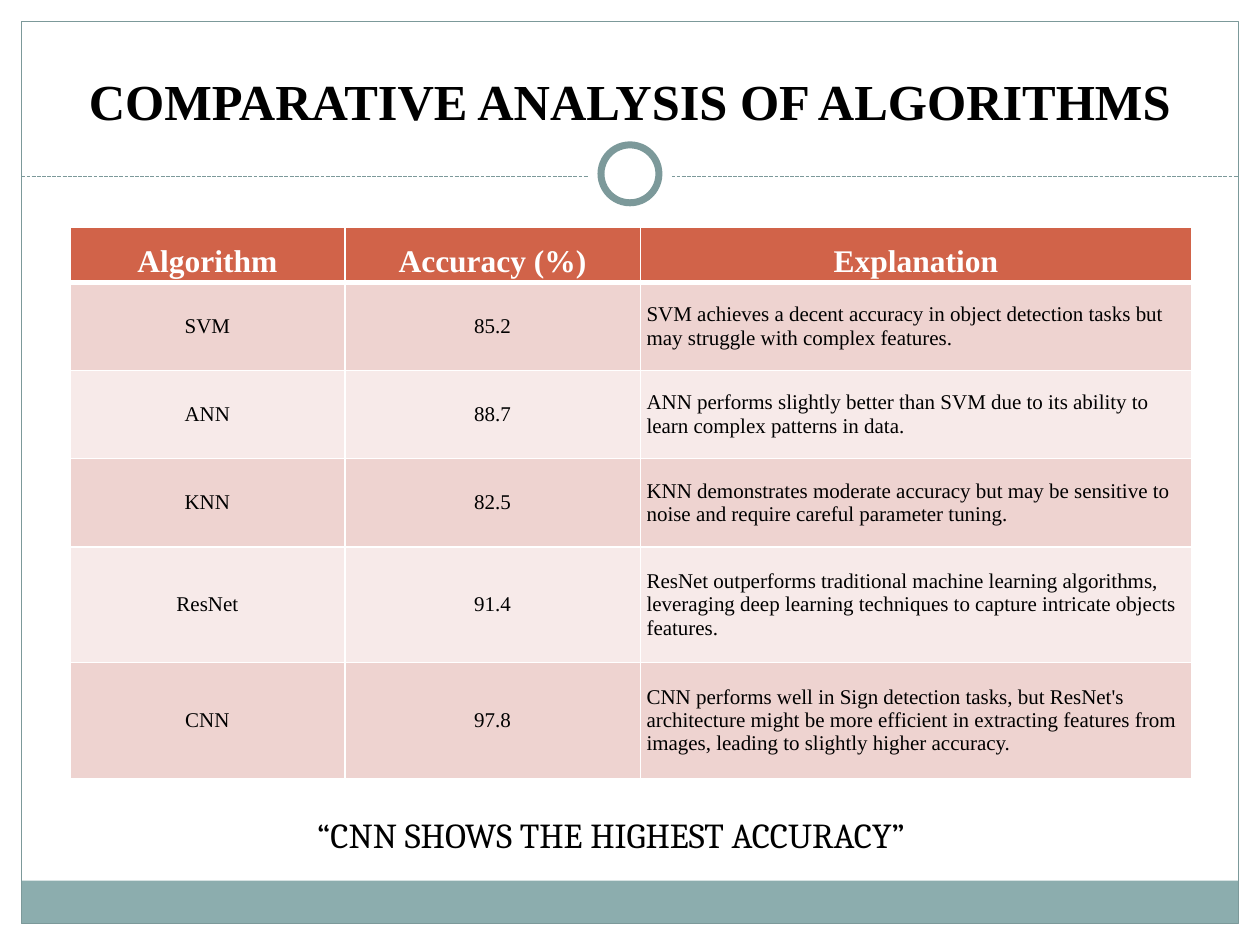
"""Build a slide that compares the accuracy of five algorithms in a table."""
from lxml.etree import SubElement
from pptx import Presentation
from pptx.dml.color import RGBColor
from pptx.enum.dml import MSO_LINE
from pptx.enum.shapes import MSO_CONNECTOR, MSO_SHAPE
from pptx.enum.text import MSO_ANCHOR, MSO_AUTO_SIZE, PP_ALIGN
from pptx.oxml.ns import qn
from pptx.util import Pt

WIDTH, HEIGHT = 720, 540
MARGIN = 12.24
RULE_Y = 100.8
CIRCLE_Y = 99.36
TEAL, BAND, WHITE, BLACK = "7C999A", "8CADAE", "FFFFFF", "000000"
HEADER_FILL, ROW_FILLS = "D16349", ("EED3D0", "F7EAE9")
SERIF = "Times New Roman"

TITLE = "COMPARATIVE ANALYSIS OF ALGORITHMS"
CAPTION = "“CNN SHOWS THE HIGHEST ACCURACY”"
ROWS = [
    ("Algorithm", "Accuracy (%)", "Explanation"),
    ("SVM", "85.2", "SVM achieves a decent accuracy in object detection tasks but "
     "may struggle with complex features."),
    ("ANN", "88.7", "ANN performs slightly better than SVM due to its ability to "
     "learn complex patterns in data."),
    ("KNN", "82.5", "KNN demonstrates moderate accuracy but may be sensitive to "
     "noise and require careful parameter tuning."),
    ("ResNet", "91.4", "ResNet outperforms traditional machine learning algorithms, "
     "leveraging deep learning techniques to capture intricate objects features."),
    ("CNN", "97.8", "CNN performs well in Sign detection tasks, but ResNet's "
     "architecture might be more efficient in extracting features from images, "
     "leading to slightly higher accuracy."),
]
TABLE_LEFT, TABLE_TOP = 39.9, 129.6
COLUMN_WIDTHS = (157.2, 168.8, 315)
ROW_HEIGHTS = (31.7, 50.4, 50.4, 50.4, 66.2, 66.2)
CELL_FORMAT = {"margin_left": Pt(3.6), "margin_right": Pt(3.6),
               "margin_top": Pt(1.8), "margin_bottom": Pt(1.8)}
HEADER_FONT = {"name": SERIF, "size": Pt(18), "bold": True}
BODY_FONT = {"name": SERIF, "size": Pt(12), "bold": False}


def color(value):
    return RGBColor.from_string(value)


def apply(target, values):
    for name, value in values.items():
        setattr(target, name, value)


def write(frame, text, font, font_color, align):
    frame.text = text
    paragraph = frame.paragraphs[0]
    paragraph.alignment = align
    apply(paragraph.runs[0].font, font)
    paragraph.runs[0].font.color.rgb = color(font_color)


def add_shape(slide, kind, box, fill=None, line=None, line_width=0.75):
    shape = slide.shapes.add_shape(kind, *map(Pt, box))
    shape.shadow.inherit = False
    if fill:
        shape.fill.solid()
        shape.fill.fore_color.rgb = color(fill)
    else:
        shape.fill.background()
    if line:
        shape.line.color.rgb = color(line)
        shape.line.width = Pt(line_width)
    else:
        shape.line.fill.background()


def add_circle(slide, diameter, **style):
    box = (WIDTH / 2 - diameter / 2, CIRCLE_Y - diameter / 2, diameter, diameter)
    add_shape(slide, MSO_SHAPE.OVAL, box, WHITE, **style)


def add_rule(slide):
    rule = slide.shapes.add_connector(MSO_CONNECTOR.STRAIGHT, Pt(MARGIN), Pt(RULE_Y),
                                      Pt(WIDTH - MARGIN), Pt(RULE_Y))
    apply(rule.line, {"width": Pt(0.75), "dash_style": MSO_LINE.SQUARE_DOT})
    rule.line.color.rgb = color(TEAL)
    SubElement(rule._element.spPr, qn("a:effectLst"))


def add_text(slide, box, text, font, align, frame_format):
    frame = slide.shapes.add_textbox(*map(Pt, box)).text_frame
    apply(frame, frame_format)
    write(frame, text, font, BLACK, align)


def add_borders(cell, widths):
    properties = cell._tc.get_or_add_tcPr()
    for side, width in widths.items():
        line = SubElement(properties, qn(f"a:ln{side}"), w=str(Pt(width)))
        SubElement(SubElement(line, qn("a:solidFill")), qn("a:srgbClr"), val=WHITE)


def add_comparison(slide):
    table = slide.shapes.add_table(
        len(ROWS), len(COLUMN_WIDTHS), Pt(TABLE_LEFT), Pt(TABLE_TOP),
        Pt(sum(COLUMN_WIDTHS)), Pt(sum(ROW_HEIGHTS))).table
    for column, width in zip(table.columns, COLUMN_WIDTHS):
        column.width = Pt(width)
    for i, (row, height, texts) in enumerate(zip(table.rows, ROW_HEIGHTS, ROWS)):
        row.height = Pt(height)
        header = i == 0
        fill = HEADER_FILL if header else ROW_FILLS[(i - 1) % 2]
        borders = {"L": 1, "R": 1, "T": 3 if i == 1 else 1, "B": 3 if header else 1}
        for j, (cell, text) in enumerate(zip(row.cells, texts)):
            apply(cell, CELL_FORMAT)
            cell.vertical_anchor = MSO_ANCHOR.BOTTOM if header else MSO_ANCHOR.MIDDLE
            add_borders(cell, borders)
            cell.fill.solid()
            cell.fill.fore_color.rgb = color(fill)
            write(cell.text_frame, text, HEADER_FONT if header else BODY_FONT,
                  WHITE if header else BLACK,
                  PP_ALIGN.CENTER if header or j < 2 else PP_ALIGN.LEFT)


def main():
    presentation = Presentation()
    apply(presentation, {"slide_width": Pt(WIDTH), "slide_height": Pt(HEIGHT)})
    slide = presentation.slides.add_slide(presentation.slide_layouts[6])
    inner_width = WIDTH - 2 * MARGIN
    add_shape(slide, MSO_SHAPE.RECTANGLE, (MARGIN, 503.3, inner_width, 24.5), BAND)
    add_shape(slide, MSO_SHAPE.RECTANGLE,
              (MARGIN, MARGIN, inner_width, HEIGHT - 2 * MARGIN), line=TEAL)
    add_rule(slide)
    add_circle(slide, 48)
    add_circle(slide, 33.1, line=TEAL, line_width=4)
    add_text(slide, (24, 18, 672, 60), TITLE,
             {"name": SERIF, "size": Pt(28.8), "bold": True}, PP_ALIGN.CENTER,
             {"word_wrap": True, "vertical_anchor": MSO_ANCHOR.BOTTOM})
    add_comparison(slide)
    add_text(slide, (174.2, 461.5, 411, 31.5), CAPTION,
             {"name": "Cambria", "size": Pt(20)}, PP_ALIGN.LEFT,
             {"word_wrap": True, "auto_size": MSO_AUTO_SIZE.SHAPE_TO_FIT_TEXT})
    presentation.save("out.pptx")


if __name__ == "__main__":
    main()
